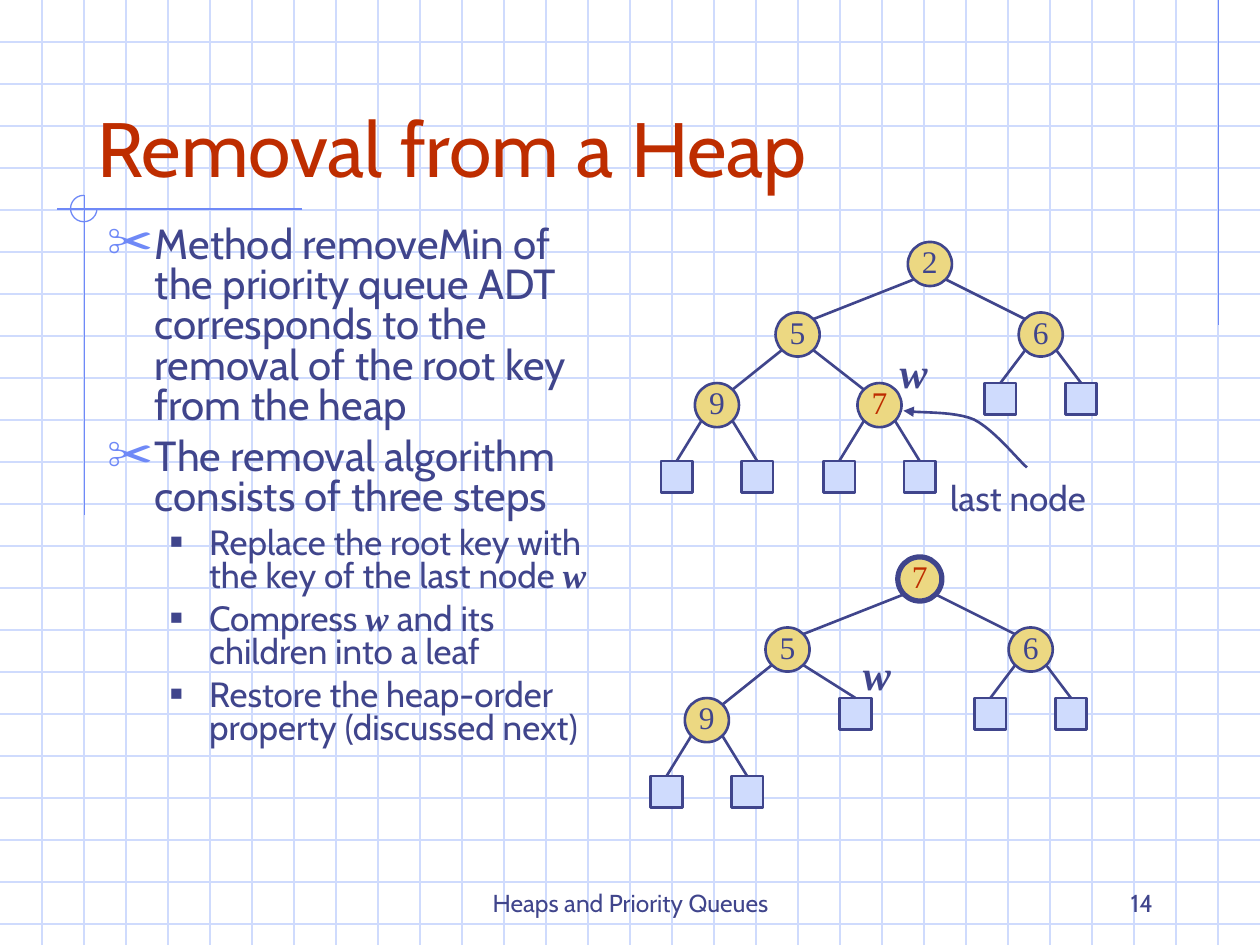
"""Build the slide on removing the minimum key from a heap."""
from dataclasses import dataclass

from lxml import etree
from pptx import Presentation
from pptx.dml.color import RGBColor
from pptx.enum import shapes, text
from pptx.oxml import ns
from pptx.util import Inches, Pt

NAVY = RGBColor(0x40, 0x45, 0x8C)
RED = RGBColor(0xBE, 0x2D, 0x00)
BLUE = RGBColor(0x6F, 0x89, 0xF7)
PALE = RGBColor(0xCF, 0xDB, 0xFD)
GOLD = RGBColor(0xEC, 0xD8, 0x82)
SANS, SERIF = "Cabin", "Times New Roman"
LEFT, CENTER, RIGHT = text.PP_ALIGN.LEFT, text.PP_ALIGN.CENTER, text.PP_ALIGN.RIGHT
TOP, MIDDLE, BOTTOM = text.MSO_ANCHOR.TOP, text.MSO_ANCHOR.MIDDLE, text.MSO_ANCHOR.BOTTOM

CIRCLE, SQUARE = 0.35, 0.25
LEVEL_TOPS = (0, 0.56, 1.12, 1.74)
DIAGONAL = 0.12
GRID_STEP = 1 / 3


@dataclass
class Node:
    """A heap node; x is measured from the root and a leaf has no key."""
    x: float
    key: str = ""
    children: tuple = ()
    color: RGBColor = NAVY
    weight: float = 1.5


def inner(x, key, **options):
    """Return a keyed node with two empty leaves below it."""
    return Node(x, key, (Node(x - 0.32), Node(x + 0.32)), **options)


def write(paragraph, content, *, size, font=SANS, color=NAVY, strong=False, align=LEFT):
    """Add formatted text to a paragraph; strong means bold italic."""
    paragraph.alignment = align
    run = paragraph.add_run()
    run.text = content
    run.font.name, run.font.size = font, Pt(size)
    run.font.bold = run.font.italic = strong
    run.font.color.rgb = color


def set_line(shape, color, weight):
    """Give a shape or connector its outline."""
    shape.line.color.rgb = color
    shape.line.width = Pt(weight)


def add_line(slide, start, end, color=NAVY, weight=1.5):
    """Draw a straight line without shadow."""
    points = [Inches(value) for value in (*start, *end)]
    line = slide.shapes.add_connector(shapes.MSO_CONNECTOR.STRAIGHT, *points)
    set_line(line, color, weight)
    etree.SubElement(line.element.spPr, ns.qn("a:effectLst"))
    return line


def add_label(slide, box, content, anchor=TOP, wrap=False, align=CENTER, **options):
    """Place a text box holding one line of text."""
    frame = slide.shapes.add_textbox(*map(Inches, box)).text_frame
    frame.word_wrap = wrap
    frame.vertical_anchor = anchor
    write(frame.paragraphs[0], content, align=align, **options)


def add_background(slide):
    """Draw the squared paper and the blue ornaments."""
    for row in range(1, 23):
        add_line(slide, (0, row * GRID_STEP), (10, row * GRID_STEP), PALE, 0.75)
    for column in range(1, 30):
        add_line(slide, (column * GRID_STEP, 0), (column * GRID_STEP, 7.5), PALE, 0.75)
    for start, end in (((9.67, 0), (9.67, 2.58)), ((2.4, 1.66), (0.45, 1.66)),
                       ((0.67, 1.55), (0.67, 4.09))):
        add_line(slide, start, end, BLUE, 0.75)
    arc = slide.shapes.add_shape(shapes.MSO_SHAPE.ARC, *map(Inches, (0.56, 1.55, 0.21, 0.21)))
    arc.adjustments[0], arc.adjustments[1] = 0, 162
    arc.shadow.inherit = False
    arc.fill.background()
    set_line(arc, BLUE, 0.75)


def place(placeholder, box, anchor):
    """Move a placeholder to a box, in front of the shapes drawn so far."""
    placeholder.left, placeholder.top, placeholder.width, placeholder.height = map(Inches, box)
    placeholder.element.getparent().append(placeholder.element)
    frame = placeholder.text_frame
    frame.auto_size = text.MSO_AUTO_SIZE.NONE
    frame.vertical_anchor = anchor
    return frame


def set_bullet(paragraph, mark, color, percent, margin, hang):
    """Give a paragraph a coloured bullet and a hanging indent."""
    properties = paragraph._p.get_or_add_pPr()
    properties.set("marL", str(Inches(margin)))
    properties.set("indent", str(-Inches(hang)))
    holder = etree.SubElement(properties, ns.qn("a:buClr"))
    etree.SubElement(holder, ns.qn("a:srgbClr"), val=str(color))
    etree.SubElement(properties, ns.qn("a:buSzPct"), val=str(percent * 1000))
    etree.SubElement(properties, ns.qn("a:buChar"), char=mark)


def add_bullets(frame, items):
    """Fill the body with (level, text pieces); every second piece is a variable."""
    for index, (level, pieces) in enumerate(items):
        paragraph = frame.add_paragraph() if index else frame.paragraphs[0]
        paragraph.level = level
        if level:
            set_bullet(paragraph, "■", NAVY, 60, 0.81, 0.31)
        else:
            set_bullet(paragraph, "✂", BLUE, 110, 0.38, 0.38)
        paragraph.line_spacing = 0.8
        paragraph.space_before = Pt((5 if level else 6) if index else 0)
        for position, piece in enumerate(pieces):
            variable = position % 2 == 1
            write(paragraph, piece, size=20 if level else 24,
                  font=SERIF if variable else SANS, strong=variable)


def add_node(slide, node, left, top):
    """Draw a keyed circle or an empty square leaf centred on left."""
    size = CIRCLE if node.key else SQUARE
    kind = shapes.MSO_SHAPE.OVAL if node.key else shapes.MSO_SHAPE.RECTANGLE
    shape = slide.shapes.add_shape(kind, *map(Inches, (left - size / 2, top, size, size)))
    shape.shadow.inherit = False
    shape.fill.solid()
    shape.fill.fore_color.rgb = GOLD if node.key else PALE
    set_line(shape, NAVY, node.weight)
    if node.key:
        frame = shape.text_frame
        frame.margin_left = frame.margin_right = frame.margin_top = 0
        frame.margin_bottom = Inches(0.05)
        frame.word_wrap = False
        frame.vertical_anchor = MIDDLE
        write(frame.paragraphs[0], node.key, size=18, font=SERIF, color=node.color, align=CENTER)
    return shape


def add_tree(slide, node, root_x, root_top, level=0):
    """Draw a node with its subtrees and the edges to its children."""
    x, top = root_x + node.x, root_top + LEVEL_TOPS[level]
    shape = add_node(slide, node, x, top)
    for child in node.children:
        child_shape = add_tree(slide, child, root_x, root_top, level + 1)
        side = DIAGONAL if child.x > node.x else -DIAGONAL
        start = (x + side, top + CIRCLE / 2 + DIAGONAL)
        child_x, child_top = root_x + child.x, root_top + LEVEL_TOPS[level + 1]
        if child.key:
            add_line(slide, start, (child_x - side, child_top + CIRCLE / 2 - DIAGONAL))
        else:
            add_line(slide, start, (child_x, child_top)).end_connect(child_shape, 0)
    return shape


def add_curved_arrow(slide, start, *curves, steps=12):
    """Draw an arrow along joined cubic curves."""
    points, first = [], start
    for second, third, last in curves:
        for step in range(1, steps + 1):
            t = step / steps
            weights = ((1 - t) ** 3, 3 * t * (1 - t) ** 2, 3 * t ** 2 * (1 - t), t ** 3)
            points.append(tuple(
                Inches(sum(weight * value for weight, value in zip(weights, axis)))
                for axis in zip(first, second, third, last)))
        first = last
    builder = slide.shapes.build_freeform(*map(Inches, start))
    builder.add_line_segments(points, close=False)
    arrow = builder.convert_to_shape()
    arrow.shadow.inherit = False
    arrow.fill.background()
    set_line(arrow, NAVY, 1.5)
    etree.SubElement(arrow.line._get_or_add_ln(), ns.qn("a:tailEnd"), type="triangle")


def main():
    """Build and save the slide."""
    presentation = Presentation()
    presentation.slide_width, presentation.slide_height = Inches(10), Inches(7.5)
    slide = presentation.slides.add_slide(presentation.slide_layouts[1])
    add_background(slide)
    add_label(slide, (3.42, 6.83, 3.17, 0.5), "Heaps and Priority Queues", BOTTOM, True, size=14)
    add_label(slide, (7.17, 6.83, 2.08, 0.5), "14", BOTTOM, True, RIGHT, size=14)
    title = place(slide.shapes.title, (0.67, 0.33, 8.5, 1.25), BOTTOM)
    write(title.paragraphs[0], "Removal from a Heap", size=44, color=RED)
    add_bullets(place(slide.placeholders[1], (0.75, 1.75, 4.25, 5), TOP), (
        (0, ("Method removeMin of the priority queue ADT corresponds to the removal "
             "of the root key from the heap",)),
        (0, ("The removal algorithm consists of three steps",)),
        (1, ("Replace the root key with the key of the last node ", "w")),
        (1, ("Compress ", "w", " and its children into a leaf")),
        (1, ("Restore the heap-order property (discussed next)",))))
    before = Node(0, "2", (
        Node(-1.05, "5", (inner(-1.69, "9"), inner(-0.4, "7", color=RED))), inner(0.88, "6")))
    after = Node(0, "7", (
        Node(-1.05, "5", (inner(-1.69, "9"), Node(-0.51))), inner(0.88, "6")), RED, 3)
    add_tree(slide, before, 7.38, 1.92)
    add_tree(slide, after, 7.3, 4.42)
    add_curved_arrow(slide, (8.15, 3.71), ((8.08, 3.65), (7.89, 3.41), (7.73, 3.33)),
                     ((7.57, 3.26), (7.28, 3.28), (7.17, 3.26)))
    add_label(slide, (7.38, 3.73, 1.4, 0.44), "last node", size=20)
    for left, top in ((7.04, 2.7), (6.75, 5.1)):
        add_label(slide, (left, top, 0.42, 0.5), "w", size=24, font=SERIF, strong=True)
    presentation.save("out.pptx")


if __name__ == "__main__":
    main()
